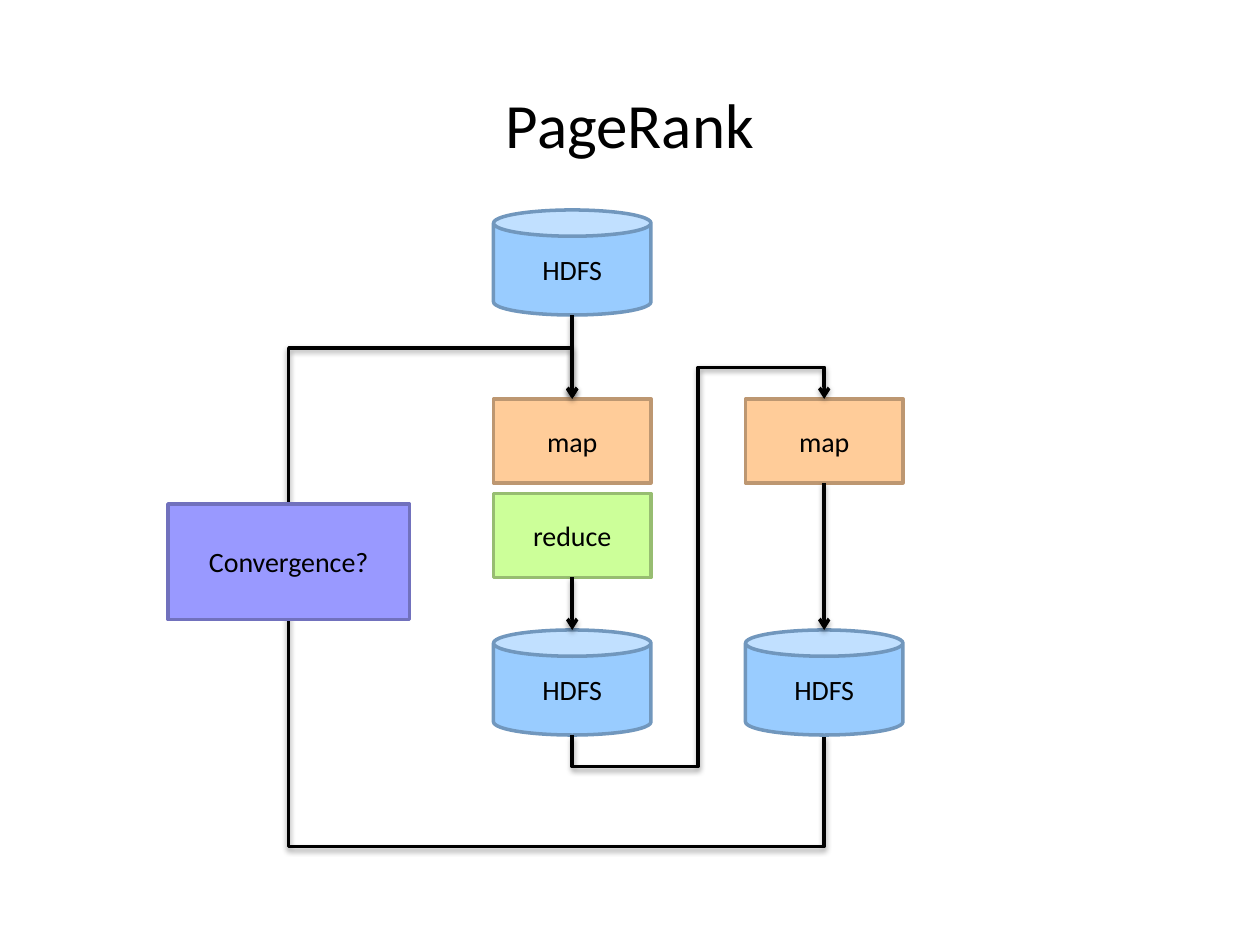
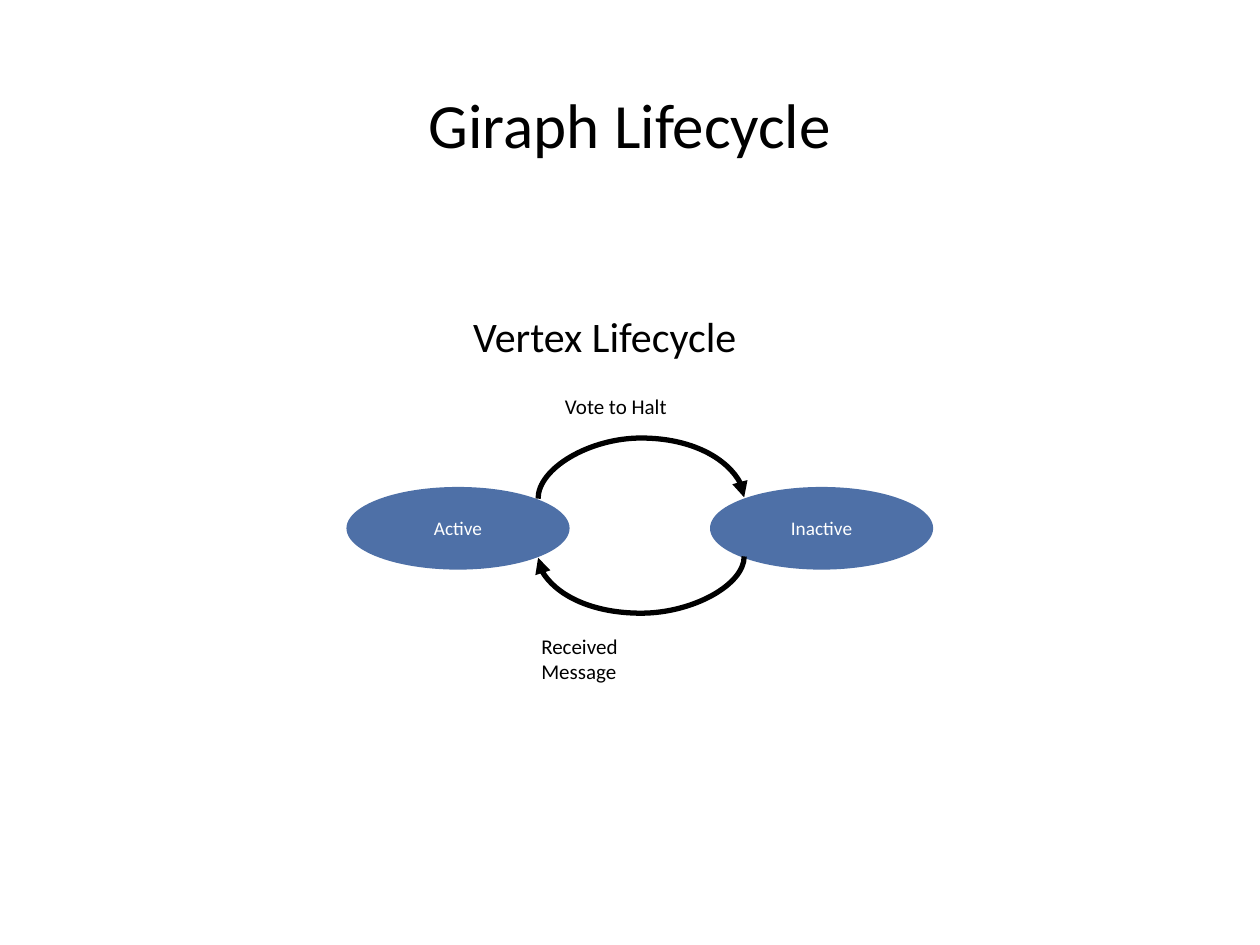
from lxml import etree
from pptx import Presentation
from pptx import util as u
from pptx.dml.color import RGBColor
from pptx.enum import shapes, text
from pptx.oxml import ns

PX = 9525
FONT = "Calibri"
BLACK = "000000"
WHITE = "FFFFFF"
OVAL_BLUE = "4E70A7"
CAN = shapes.MSO_SHAPE.CAN
RECTANGLE = shapes.MSO_SHAPE.RECTANGLE
OVAL = shapes.MSO_SHAPE.OVAL
STYLES = {
    "HDFS": (CAN, "99CCFF", "7197BD"),
    "map": (RECTANGLE, "FFCC99", "BD9771"),
    "reduce": (RECTANGLE, "CCFF99", "97BD71"),
    "Convergence?": (RECTANGLE, "9999FF", "7171BD"),
}
NODE_WIDTH = 120
STEP_HEIGHT = 64
STORE_HEIGHT = 80


def px(value):
    return u.Emu(round(value * PX))


def box(*lengths):
    return [px(length) for length in lengths]


def color(hex_value):
    return RGBColor.from_string(hex_value)


def write(frame, words, size, hex_value, align):
    paragraph = frame.paragraphs[0]
    paragraph.alignment = align
    run = paragraph.add_run()
    run.text = words
    run.font.name = FONT
    run.font.size = u.Pt(size)
    run.font.color.rgb = color(hex_value)


def add_titled_slide(presentation, title):
    slide = presentation.slides.add_slide(presentation.slide_layouts[5])
    shape = slide.shapes.title
    shape.left, shape.top, shape.width, shape.height = box(0, 58, 960, 72)
    write(shape.text_frame, title, 36, BLACK, text.PP_ALIGN.CENTER)
    return slide


def add_node(slide, preset, bounds, words, size, ink, fill, outline=None):
    shape = slide.shapes.add_shape(preset, *box(*bounds))
    shape.shadow.inherit = False
    shape.fill.solid()
    shape.fill.fore_color.rgb = color(fill)
    if outline:
        shape.line.color.rgb = color(outline)
        shape.line.width = u.Pt(2)
    else:
        shape.line.fill.background()
    frame = shape.text_frame
    frame.word_wrap = True
    frame.vertical_anchor = text.MSO_ANCHOR.MIDDLE
    write(frame, words, size, ink, text.PP_ALIGN.CENTER)
    return shape


def add_stage(slide, words, left, top, width, height):
    preset, fill, outline = STYLES[words]
    return add_node(slide, preset, (left, top, width, height), words, 16, BLACK, fill, outline)


def add_label(slide, words, size, *bounds):
    shape = slide.shapes.add_textbox(*box(*bounds))
    shape.text_frame.word_wrap = True
    write(shape.text_frame, words, size, BLACK, text.PP_ALIGN.LEFT)


def add_child(parent, tag, **attributes):
    child = etree.SubElement(parent, ns.qn(tag))
    for name, value in attributes.items():
        child.set(name, str(value))
    return child


def style_arrow(connector, width, head, shadow):
    connector.line.color.rgb = color(BLACK)
    connector.line.width = u.Pt(width)
    properties = connector._element.spPr
    add_child(properties.find(ns.qn("a:ln")), "a:tailEnd", type=head)
    effects = add_child(properties, "a:effectLst")
    if shadow:
        outer = add_child(effects, "a:outerShdw", blurRad=u.Pt(3.1), dist=u.Pt(1.6),
                          dir=5400000, rotWithShape=0)
        black = add_child(outer, "a:srgbClr", val=BLACK)
        add_child(black, "a:alpha", val=38000)


def add_down_arrow(slide, x, top, bottom, source=None, target=None):
    connector = slide.shapes.add_connector(
        shapes.MSO_CONNECTOR.STRAIGHT, *box(x, top, x, bottom))
    if source:
        connector.begin_connect(source, 2)
    if target:
        connector.end_connect(target, 0)
    style_arrow(connector, 2, "arrow", True)


def add_vertical_route(slide, kind, preset, start, end, turns):
    """Leaves start vertically; turns alternate between y and x positions."""
    dx, dy = end[0] - start[0], end[1] - start[1]
    length, breadth = abs(dy), abs(dx)
    left = (start[0] + end[0] - length) / 2
    top = (start[1] + end[1] - breadth) / 2
    connector = slide.shapes.add_connector(
        kind, *box(left, top, left + length, top + breadth))
    properties = connector._element.spPr
    transform = properties.find(ns.qn("a:xfrm"))
    transform.set("rot", "5400000")
    if dy < 0:
        transform.set("flipH", "1")
    if dx > 0:
        transform.set("flipV", "1")
    geometry = properties.find(ns.qn("a:prstGeom"))
    geometry.set("prst", preset)
    adjustments = geometry.find(ns.qn("a:avLst"))
    if adjustments is None:
        adjustments = add_child(geometry, "a:avLst")
    for index, turn in enumerate(turns):
        ratio = (turn - start[0]) / dx if index % 2 else (turn - start[1]) / dy
        add_child(adjustments, "a:gd", name=f"adj{index + 1}",
                  fmla=f"val {round(ratio * 100000)}")
    return connector


def add_elbow(slide, start, end, turns):
    connector = add_vertical_route(
        slide, shapes.MSO_CONNECTOR.ELBOW, "bentConnector5", start, end, turns)
    style_arrow(connector, 2, "arrow", True)


def add_curve(slide, start, end, turn):
    connector = add_vertical_route(
        slide, shapes.MSO_CONNECTOR.CURVE, "curvedConnector3", start, end, [turn])
    style_arrow(connector, 3, "triangle", False)


def build_pagerank(presentation):
    slide = add_titled_slide(presentation, "PageRank")
    first_left, second_left = 376, 568
    first, second = (left + NODE_WIDTH // 2 for left in (first_left, second_left))
    map_top, reduce_top, store_top = 304, 376, 480
    input_top = 160
    store_bottom = store_top + STORE_HEIGHT

    add_elbow(slide, (second, store_bottom), (first, map_top), [645, 220, 265])
    add_stage(slide, "Convergence?", 128, 384, 184, 88)
    reduce_step = add_stage(slide, "reduce", first_left, reduce_top, NODE_WIDTH, STEP_HEIGHT)
    add_stage(slide, "HDFS", first_left, input_top, NODE_WIDTH, STORE_HEIGHT)
    map_steps = []
    for left in (first_left, second_left):
        map_steps.append(add_stage(slide, "map", left, map_top, NODE_WIDTH, STEP_HEIGHT))
        add_stage(slide, "HDFS", left, store_top, NODE_WIDTH, STORE_HEIGHT)

    add_down_arrow(slide, first, input_top + STORE_HEIGHT, map_top, target=map_steps[0])
    add_down_arrow(slide, first, reduce_top + STEP_HEIGHT, store_top, source=reduce_step)
    add_down_arrow(slide, second, map_top + STEP_HEIGHT, store_top, source=map_steps[1])
    add_elbow(slide, (first, store_bottom), (second, map_top), [584, 532, 280])


def build_lifecycle(presentation):
    slide = add_titled_slide(presentation, "Giraph Lifecycle")
    for state, left in (("Active", 264), ("Inactive", 541)):
        add_node(slide, OVAL, (left, 371, 170, 63), state, 11, WHITE, OVAL_BLUE)
    add_curve(slide, (410, 380), (567, 379), 333)
    add_curve(slide, (567, 424), (410, 425), 468)
    add_label(slide, "Vote to Halt", 12, 421, 295, 106, 29)
    add_label(slide, "Received Message", 12, 403, 478, 130, 48)
    add_label(slide, "Vertex Lifecycle", 24, 351, 232, 230, 48)


def main():
    presentation = Presentation()
    presentation.slide_width, presentation.slide_height = box(960, 720)
    build_pagerank(presentation)
    build_lifecycle(presentation)
    presentation.save("out.pptx")


if __name__ == "__main__":
    main()
